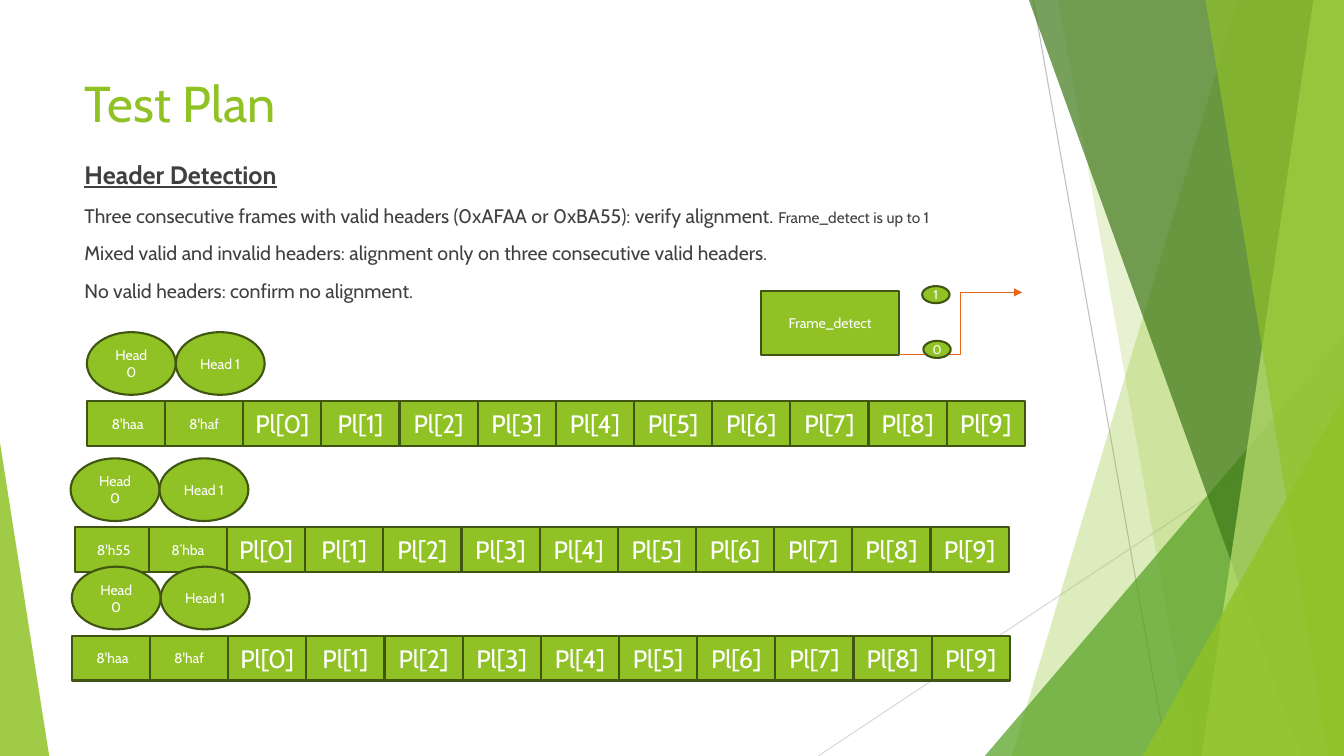
import lxml.etree
import pptx
import pptx.dml.color
import pptx.enum.shapes
import pptx.enum.text
import pptx.oxml.ns
import pptx.util

Cm = pptx.util.Cm
Pt = pptx.util.Pt
qn = pptx.oxml.ns.qn
SHAPE = pptx.enum.shapes.MSO_SHAPE
CONNECTOR = pptx.enum.shapes.MSO_CONNECTOR
ALIGN = pptx.enum.text.PP_ALIGN
ANCHOR = pptx.enum.text.MSO_ANCHOR

WIDTH, HEIGHT = 33.87, 19.05
FONT = "Cabin"
GREEN, OUTLINE, ORANGE = "90C226", "3F5511", "E76618"
WHITE, BODY_GREY = "FFFFFF", "404040"


def colour(hex_code):
    return pptx.dml.color.RGBColor.from_string(hex_code)


def style_font(font, size, hex_code, bold=False, underline=False):
    font.name = FONT
    font.size = Pt(size)
    font.bold = bold
    font.underline = underline
    font.color.rgb = colour(hex_code)


def add_line(slide, kind, start, end, hex_code, weight):
    line = slide.shapes.add_connector(kind, *map(Cm, start + end))
    line.line.color.rgb = colour(hex_code)
    line.line.width = Pt(weight)
    lxml.etree.SubElement(line._element.spPr, qn("a:effectLst"))
    return line


def add_block(slide, kind, left, top, width, height, label, size):
    """Green outlined shape with a centred white label."""
    block = slide.shapes.add_shape(kind, Cm(left), Cm(top), Cm(width), Cm(height))
    block.shadow.inherit = False
    block.fill.solid()
    block.fill.fore_color.rgb = colour(GREEN)
    block.line.color.rgb = colour(OUTLINE)
    block.line.width = Pt(1.5)
    frame = block.text_frame
    frame.word_wrap = True
    frame.vertical_anchor = ANCHOR.MIDDLE
    frame.text = label
    paragraph = frame.paragraphs[0]
    paragraph.alignment = ALIGN.CENTER
    style_font(paragraph.font, size, WHITE)
    return block


def fill_facet(facet, hex_code, opacity):
    facet.shadow.inherit = False
    facet.line.fill.background()
    facet.fill.solid()
    facet.fill.fore_color.rgb = colour(hex_code)
    tint = facet._element.spPr.find(".//" + qn("a:srgbClr"))
    lxml.etree.SubElement(tint, qn("a:alpha"), val=str(opacity * 1000))


def add_band(slide, top_x, bottom_x, right, bottom, hex_code, opacity):
    """Four-sided facet running from a slanted edge to the right side."""
    outline = slide.shapes.build_freeform(Cm(top_x), 0)
    corners = [(right, 0), (right, bottom), (bottom_x, bottom)]
    outline.add_line_segments([(Cm(x), Cm(y)) for x, y in corners], close=True)
    fill_facet(outline.convert_to_shape(), hex_code, opacity)


def add_wedge(slide, left, top, width, bottom, apex, hex_code, opacity):
    """Right-angled triangle standing on the bottom edge."""
    wedge = slide.shapes.add_shape(
        SHAPE.ISOSCELES_TRIANGLE, Cm(left), Cm(top), Cm(width), Cm(bottom - top))
    wedge.adjustments[0] = apex
    fill_facet(wedge, hex_code, opacity)


def add_backdrop(slide, right, bottom):
    # Thin crossing lines
    add_line(slide, CONNECTOR.STRAIGHT, (26.04, 0), (29.41, bottom), "BFBFBF", 0.75)
    add_line(slide, CONNECTOR.STRAIGHT, (right, 10.24), (20.62, bottom), "D9D9D9", 0.75)
    # Translucent facets, back to front
    add_band(slide, 31.19, 25.5, right, bottom, GREEN, 30)
    add_band(slide, 26.67, 30.05, right, bottom, GREEN, 20)
    add_wedge(slide, 24.82, 8.46, right - 24.82, bottom, 1, "54A021", 72)
    add_band(slide, 25.93, 32.79, right, bottom, "3F7819", 70)
    add_band(slide, 33.1, 30.28, right, bottom, "C0E474", 70)
    add_band(slide, 30.38, 33.48, right, bottom, GREEN, 65)
    add_wedge(slide, 28.8, 9.98, right - 28.8, bottom, 1, GREEN, 80)
    add_wedge(slide, 0, 11.15, 1.24, bottom, 0, GREEN, 85)


def add_title(slide, left, top, width, height):
    title = slide.shapes.title
    title.left, title.top, title.width, title.height = map(Cm, (left, top, width, height))
    title.text_frame.text = "Test Plan"
    title.text_frame.vertical_anchor = ANCHOR.TOP
    heading = title.text_frame.paragraphs[0]
    heading.alignment = ALIGN.LEFT
    style_font(heading.font, 36, GREEN)


def add_cases(slide, left, top, width, height):
    """Heading and test cases; each case is a list of (text, size) runs."""
    cases = [
        [("Header Detection", 18)],
        [("Three consecutive frames with valid headers (0xAFAA or 0xBA55): "
          "verify alignment. ", 14), ("Frame_detect is up to 1", 11)],
        [("Mixed valid and invalid headers: alignment only on three "
          "consecutive valid headers.", 14)],
        [("No valid headers: confirm no alignment.", 14)],
    ]
    body = slide.shapes.add_textbox(Cm(left), Cm(top), Cm(width), Cm(height)).text_frame
    body.word_wrap = True
    for index, case in enumerate(cases):
        paragraph = body.add_paragraph() if index else body.paragraphs[0]
        paragraph.space_before = Pt(10)
        is_heading = index == 0
        style_font(paragraph.font, case[0][1], BODY_GREY, is_heading, is_heading)
        for text, size in case:
            run = paragraph.add_run()
            run.text = text
            if len(case) > 1:
                run.font.size = Pt(size)


def add_frame(slide, left, top, header_bytes, first_shift=0):
    """Two header ovals above a row of header and payload cells."""
    cell_width, cell_height = 1.97, 1.13
    head_width, head_height = 2.24, 1.58
    row_top = top + 1.74
    cells = [(text, 10) for text in header_bytes]
    cells += [(f"Pl[{number}]", 18) for number in range(10)]
    for column, (text, size) in enumerate(cells):
        shift = 0 if column else first_shift
        add_block(slide, SHAPE.RECTANGLE, left + column * cell_width + shift, row_top,
                  cell_width, cell_height, text, size)
    for number in range(2):
        add_block(slide, SHAPE.OVAL, left + number * head_width, top,
                  head_width, head_height, f"Head {number}", 10)


def add_detect_signal(slide, left, top):
    """Frame_detect box with its step from 0 to 1."""
    box_width, box_height = 3.48, 1.6
    add_block(slide, SHAPE.RECTANGLE, left, top, box_width, box_height, "Frame_detect", 10)
    step = add_line(slide, CONNECTOR.ELBOW, (left + box_width, top + box_height),
                    (left + 6.58, top + 0.03), ORANGE, 1)
    lxml.etree.SubElement(step.line._get_or_add_ln(), qn("a:tailEnd"), type="triangle")
    # Level ovals: no margins, so the digit fits inside
    for digit, dx, dy in [("0", 4.09, 1.25), ("1", 4.06, -0.13)]:
        level = add_block(slide, SHAPE.OVAL, left + dx, top + dy, 0.69, 0.43, digit, 9)
        frame = level.text_frame
        frame.word_wrap = False
        frame.margin_left = frame.margin_right = 0
        frame.margin_top = frame.margin_bottom = 0


def main():
    deck = pptx.Presentation()
    deck.slide_width, deck.slide_height = Cm(WIDTH), Cm(HEIGHT)
    slide = deck.slides.add_slide(deck.slide_layouts[5])

    add_backdrop(slide, WIDTH, HEIGHT)
    add_title(slide, 1.88, 1.7, 23.88, 3.66)
    add_cases(slide, 1.88, 3.89, 23.88, 12.9)

    # Three consecutive frames
    add_frame(slide, 2.19, 8.37, [" 8'haa", "8'haf"])
    add_frame(slide, 1.78, 11.55, ["8'h55", "8’hba"], first_shift=0.1)
    add_frame(slide, 1.81, 14.28, [" 8'haa", "8'haf"])

    add_detect_signal(slide, 19.18, 7.34)
    deck.save("out.pptx")


if __name__ == "__main__":
    main()
